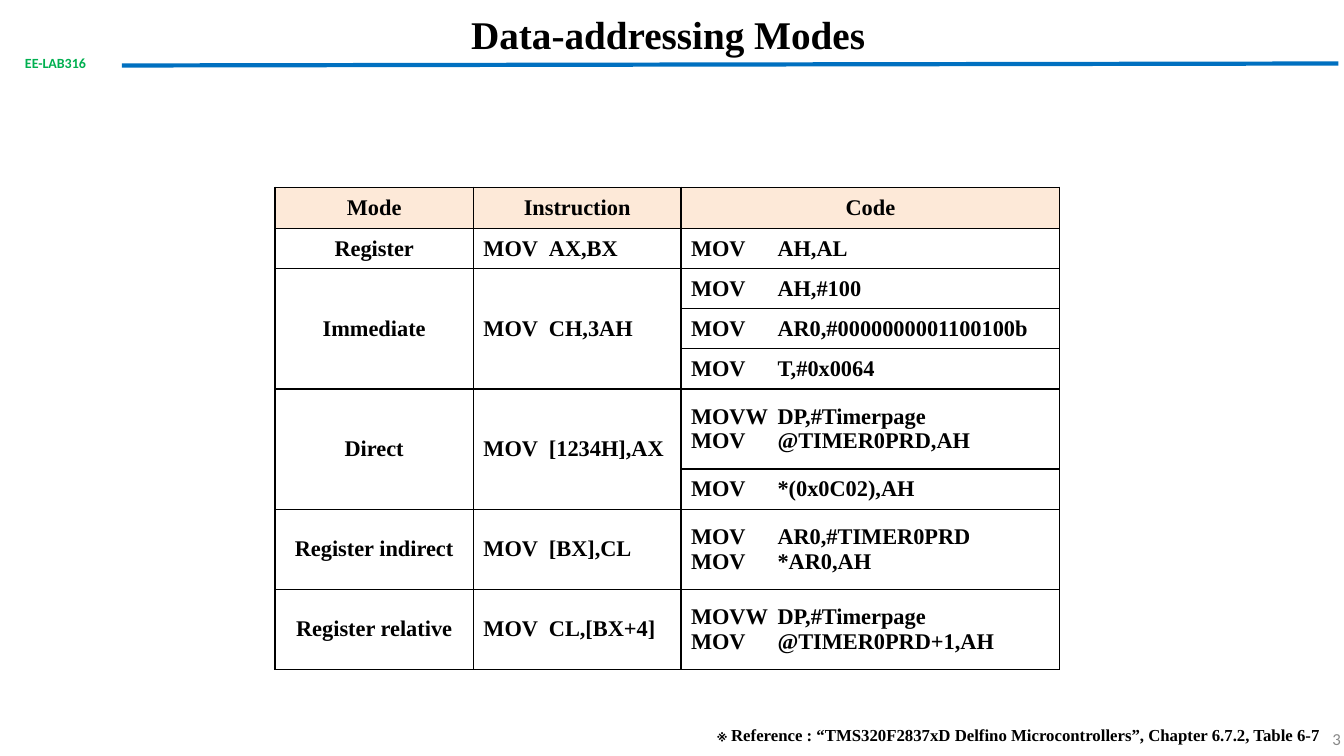
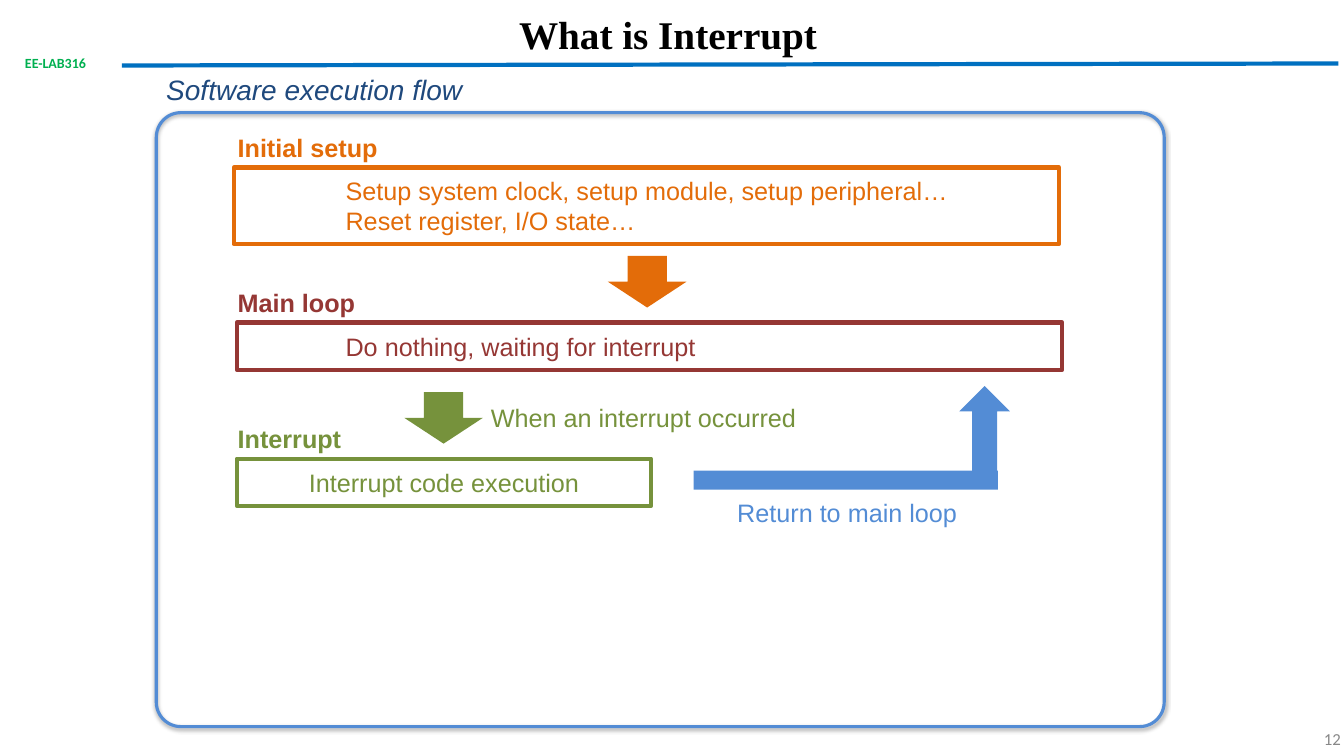
import dataclasses

import lxml.etree
import pptx
import pptx.dml.color
import pptx.enum.shapes
import pptx.enum.text
import pptx.oxml
import pptx.oxml.ns
import pptx.util

Cm = pptx.util.Cm
SHAPE = pptx.enum.shapes.MSO_SHAPE
ALIGN = pptx.enum.text.PP_ALIGN
ANCHOR = pptx.enum.text.MSO_ANCHOR
qn = pptx.oxml.ns.qn


@dataclasses.dataclass(frozen=True)
class TextStyle:
    font: str
    size: int
    bold: bool = False
    italic: bool = False


@dataclasses.dataclass(frozen=True)
class Theme:
    black: str = "000000"
    rule: str = "0070C0"
    lab: str = "00B050"
    grey: str = "888888"
    header_fill: str = "FDE9D8"
    navy: str = "1F497D"
    blue: str = "538CD5"
    orange: str = "E36C09"
    red: str = "953734"
    green: str = "76923C"
    title: TextStyle = TextStyle("Times New Roman", 28, bold=True)
    cell: TextStyle = TextStyle("Times New Roman", 16, bold=True)
    reference: TextStyle = TextStyle("Times New Roman", 12, bold=True)
    lab_label: TextStyle = TextStyle("Calibri", 10, bold=True)
    page_number: TextStyle = TextStyle("Calibri", 12)
    subtitle: TextStyle = TextStyle("Arial", 20, italic=True)
    heading: TextStyle = TextStyle("Arial", 18, bold=True)
    body: TextStyle = TextStyle("Arial", 18)


theme = Theme()


def write_text(text_frame, lines, style, color, align=ALIGN.LEFT, tab_stop=None):
    """Write one paragraph per line; tab_stop is a length from the text edge."""
    text_frame.word_wrap = True
    for index, line in enumerate(lines):
        paragraph = text_frame.paragraphs[0] if index == 0 else text_frame.add_paragraph()
        paragraph.alignment = align
        if tab_stop is not None:
            properties = paragraph._p.get_or_add_pPr()
            tab_list = lxml.etree.SubElement(properties, qn("a:tabLst"))
            lxml.etree.SubElement(tab_list, qn("a:tab"), pos=str(tab_stop), algn="l")
        run = paragraph.add_run()
        run.text = line
        run.font.name = style.font
        run.font.size = pptx.util.Pt(style.size)
        run.font.bold = style.bold
        run.font.italic = style.italic
        run.font.color.rgb = pptx.dml.color.RGBColor.from_string(color)


def add_shape(slide, kind, box, fill=None, outline=None, outline_width=3):
    shape = slide.shapes.add_shape(kind, *map(Cm, box))
    shape.shadow.inherit = False
    if fill:
        shape.fill.solid()
        shape.fill.fore_color.rgb = pptx.dml.color.RGBColor.from_string(fill)
    else:
        shape.fill.background()
    if outline:
        shape.line.color.rgb = pptx.dml.color.RGBColor.from_string(outline)
        shape.line.width = pptx.util.Pt(outline_width)
    else:
        shape.line.fill.background()
    return shape


presentation = pptx.Presentation()
presentation.slide_width = Cm(33.87)
presentation.slide_height = Cm(19.05)
layout = presentation.slide_layouts.get_by_name("Title Only")

# Shared parts: titles, page numbers, and the rule and lab name on the layout
slides = []
for title_text, page_number in (("Data-addressing Modes", "3"), ("What is Interrupt", "12")):
    slide = presentation.slides.add_slide(layout)
    slides.append(slide)
    title = slide.shapes.title
    title.left, title.top, title.width, title.height = map(Cm, (6.93, 0.13, 19.81, 1.8))
    title.text_frame.vertical_anchor = ANCHOR.TOP
    write_text(title.text_frame, [title_text], theme.title, theme.black, ALIGN.CENTER)
    number = slide.shapes.add_textbox(*map(Cm, (26.14, 18.11, 7.9, 1.02))).text_frame
    number.vertical_anchor = ANCHOR.MIDDLE
    write_text(number, [page_number], theme.page_number, theme.grey, ALIGN.RIGHT)

modes_slide, interrupt_slide = slides

rule = modes_slide.shapes.add_connector(
    pptx.enum.shapes.MSO_CONNECTOR.STRAIGHT, *map(Cm, (3.07, 1.65, 33.73, 1.6)))
rule.line.color.rgb = pptx.dml.color.RGBColor.from_string(theme.rule)
rule.line.width = pptx.util.Pt(3)
lxml.etree.SubElement(rule.element.spPr, qn("a:effectLst"))
lab_label = modes_slide.shapes.add_textbox(*map(Cm, (0.38, 1.24, 2.5, 0.69)))
write_text(lab_label.text_frame, ["EE-LAB316"], theme.lab_label, theme.lab)
for shape_id, shape in enumerate((rule, lab_label), start=20):
    shape.element.xpath(".//p:cNvPr")[0].set("id", str(shape_id))
    layout.shapes.element.append(shape.element)

# Data-addressing modes: each mode has an instruction and one or more code cells
modes = [
    ("Register", "MOV\tAX,BX", [["MOV\tAH,AL"]]),
    ("Immediate", "MOV\tCH,3AH",
     [["MOV\tAH,#100"], ["MOV\tAR0,#0000000001100100b"], ["MOV\tT,#0x0064"]]),
    ("Direct", "MOV\t[1234H],AX",
     [["MOVW\tDP,#Timerpage", "MOV\t@TIMER0PRD,AH"], ["MOV\t*(0x0C02),AH"]]),
    ("Register indirect", "MOV\t[BX],CL", [["MOV\tAR0,#TIMER0PRD", "MOV\t*AR0,AH"]]),
    ("Register relative", "MOV\tCL,[BX+4]",
     [["MOVW\tDP,#Timerpage", "MOV\t@TIMER0PRD+1,AH"]]),
]
column_widths = (5, 5.23, 9.55)
line_height = 1.01
code_cells = [lines for _, _, codes in modes for lines in codes]
row_heights = [1.04] + [line_height * len(lines) for lines in code_cells]

table = modes_slide.shapes.add_table(
    len(row_heights), len(column_widths),
    *map(Cm, (6.93, 4.72, sum(column_widths), sum(row_heights)))).table
table.first_row = False
table.horz_banding = False
for column, width in zip(table.columns, column_widths):
    column.width = Cm(width)
for row, height in zip(table.rows, row_heights):
    row.height = Cm(height)

for cell in table.iter_cells():
    cell.vertical_anchor = ANCHOR.MIDDLE
    properties = cell._tc.get_or_add_tcPr()
    for side in ("a:lnL", "a:lnR", "a:lnT", "a:lnB"):
        border = lxml.etree.SubElement(properties, qn(side), w=str(pptx.util.Pt(1)))
        border_fill = lxml.etree.SubElement(border, qn("a:solidFill"))
        lxml.etree.SubElement(border_fill, qn("a:srgbClr"), val=theme.black)
    cell.fill.background()

for column_index, heading in enumerate(("Mode", "Instruction", "Code")):
    cell = table.cell(0, column_index)
    cell.fill.solid()
    cell.fill.fore_color.rgb = pptx.dml.color.RGBColor.from_string(theme.header_fill)
    write_text(cell.text_frame, [heading], theme.cell, theme.black, ALIGN.CENTER)

row_index = 1
for mode, instruction, codes in modes:
    last_row = row_index + len(codes) - 1
    if len(codes) > 1:
        for column_index in (0, 1):
            table.cell(row_index, column_index).merge(table.cell(last_row, column_index))
    write_text(table.cell(row_index, 0).text_frame, [mode], theme.cell, theme.black,
               ALIGN.CENTER)
    write_text(table.cell(row_index, 1).text_frame, [instruction], theme.cell, theme.black,
               tab_stop=Cm(1.65))
    for offset, lines in enumerate(codes):
        write_text(table.cell(row_index + offset, 2).text_frame, lines, theme.cell,
                   theme.black, tab_stop=Cm(2.18))
    row_index = last_row + 1

reference = modes_slide.shapes.add_textbox(*map(Cm, (17.83, 18.14, 16.1, 0.99)))
write_text(
    reference.text_frame,
    ["※ Reference : “TMS320F2837xD Delfino Microcontrollers”, Chapter 6.7.2, Table 6-7"],
    theme.reference, theme.black)

# Interrupt flow: a frame around three stages joined by arrows
frame = add_shape(interrupt_slide, SHAPE.ROUNDED_RECTANGLE, (3.94, 2.84, 25.4, 15.47),
                  outline=theme.blue, outline_width=2.25)
frame.adjustments[0] = 0.04
effects = frame.element.spPr.find(qn("a:effectLst"))
shadow = lxml.etree.SubElement(
    effects, qn("a:outerShdw"), blurRad=str(pptx.util.Pt(3.1)), dist=str(pptx.util.Pt(1.6)),
    dir="5400000", rotWithShape="0")
shadow_color = lxml.etree.SubElement(shadow, qn("a:srgbClr"), val=theme.black)
lxml.etree.SubElement(shadow_color, qn("a:alpha"), val="38000")

heading_left, heading_height = 5.74, 1.02
text_left = 8.71
stages = [
    ("Initial setup", (5.89, 4.22, 20.8, 1.93), theme.orange, ALIGN.LEFT,
     ["Setup system clock, setup module, setup peripheral…", "Reset register, I/O state…"]),
    ("Main loop", (5.97, 8.13, 20.8, 1.19), theme.red, ALIGN.LEFT,
     ["Do nothing, waiting for interrupt"]),
    ("Interrupt", (5.97, 11.56, 10.44, 1.19), theme.green, ALIGN.CENTER,
     ["Interrupt code execution"]),
]
for heading, box, color, align, lines in stages:
    left, top, width, height = box
    label = interrupt_slide.shapes.add_textbox(
        *map(Cm, (heading_left, top - heading_height, 5, heading_height)))
    write_text(label.text_frame, [heading], theme.heading, color)
    stage = add_shape(interrupt_slide, SHAPE.RECTANGLE, box, outline=color)
    stage.text_frame.vertical_anchor = ANCHOR.MIDDLE
    if align == ALIGN.LEFT:
        stage.text_frame.margin_left = Cm(text_left - left)
    write_text(stage.text_frame, lines, theme.body, color, align)

for kind, box, color in (
    (SHAPE.DOWN_ARROW, (15.32, 6.45, 1.98, 1.3), theme.orange),
    (SHAPE.DOWN_ARROW, (10.19, 9.88, 1.98, 1.3), theme.green),
    (SHAPE.UP_ARROW, (24.18, 9.73, 1.27, 2.39), theme.blue),
    (SHAPE.RECTANGLE, (17.48, 11.86, 7.67, 0.48), theme.blue),
):
    add_shape(interrupt_slide, kind, box, fill=color)

for text, box, style, color, align in (
    ("Software execution flow", (3.94, 1.7, 9, 1.09), theme.subtitle, theme.navy, ALIGN.LEFT),
    ("When an interrupt occurred", (12.12, 10.01, 9, 1.02), theme.body, theme.green,
     ALIGN.LEFT),
    ("Return to main loop", (17.25, 12.4, 8.2, 1.02), theme.body, theme.blue, ALIGN.CENTER),
):
    label = interrupt_slide.shapes.add_textbox(*map(Cm, box))
    write_text(label.text_frame, [text], style, color, align)

presentation.save("out.pptx")
